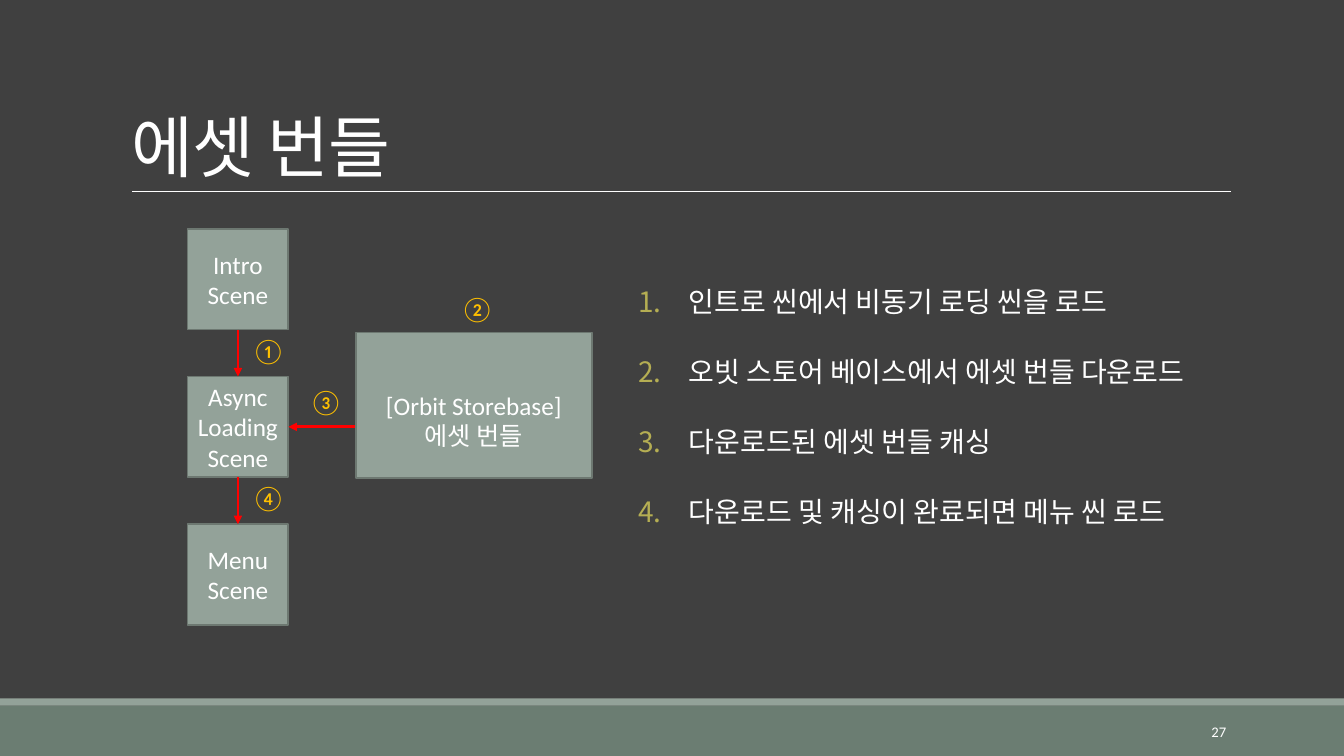
"""Build the asset bundle slide: a scene loading flow beside its four steps."""
from lxml import etree
from pptx import Presentation
from pptx import util as u
from pptx.dml.color import RGBColor
from pptx.enum import shapes, text
from pptx.oxml.ns import qn

TITLE = "에셋 번들"
STEPS = [
    "인트로 씬에서 비동기 로딩 씬을 로드",
    "오빗 스토어 베이스에서 에셋 번들 다운로드",
    "다운로드된 에셋 번들 캐싱",
    "다운로드 및 캐싱이 완료되면 메뉴 씬 로드",
]
SCENES = [["Intro Scene"], ["Async", "Loading", "Scene"], ["Menu", "Scene"]]
STORE = ["[Orbit Storebase]", "에셋 번들"]
MARKERS = {"①": (2.4, 3.28), "②": (4.47, 2.86), "③": (2.97, 3.78), "④": (2.4, 4.74)}
PAGE_NUMBER = "27"

WIDTH, HEIGHT = 13.33, 7.5
BAND_TOP, STRIPE = 7, 0.07
SCENE_LEFT, SCENE_TOP, SCENE_SIZE, SCENE_PITCH = 1.86, 2.27, 1, 1.465
STORE_BOX = (3.53, 3.3, 2.34, 1.44)
RULE_LEFT, RULE_RIGHT, RULE_TOP = 1.31, 12.21, 1.9

BACKGROUND = RGBColor(0x40, 0x40, 0x40)
BAND = RGBColor(0x6B, 0x7D, 0x72)
SAGE = RGBColor(0x93, 0xA2, 0x99)
OUTLINE = RGBColor(0x6D, 0x78, 0x71)
WHITE = RGBColor(0xFF, 0xFF, 0xFF)
RED = RGBColor(0xFF, 0x00, 0x00)
AMBER = RGBColor(0xFF, 0xC0, 0x00)
OLIVE = "B5AE53"


def inches(values):
    return [u.Inches(value) for value in values]


def apply(target, **formats):
    for name, value in formats.items():
        setattr(target, name, value)


def place(shape, box):
    apply(shape, **dict(zip(("left", "top", "width", "height"), inches(box))))


def write(shape, lines, size, color=WHITE, **formats):
    frame = shape.text_frame
    frame.text = "\n".join(lines)
    for paragraph in frame.paragraphs:
        apply(paragraph, **formats)
        apply(paragraph.font, size=u.Pt(size), name="Calibri")
        paragraph.font.color.rgb = color
    return frame


def add_box(slide, box, fill, outline=None):
    shape = slide.shapes.add_shape(shapes.MSO_SHAPE.RECTANGLE, *inches(box))
    shape.shadow.inherit = False
    shape.fill.solid()
    shape.fill.fore_color.rgb = fill
    if outline is None:
        shape.line.fill.background()
    else:
        shape.line.color.rgb = outline
        shape.line.width = u.Pt(1.25)
    return shape


def add_node(slide, box, lines):
    node = add_box(slide, box, SAGE, OUTLINE)
    frame = write(node, lines, 18, alignment=text.PP_ALIGN.CENTER)
    apply(frame, vertical_anchor=text.MSO_ANCHOR.MIDDLE, word_wrap=True)
    return node


def add_line(slide, ends, color, width, arrow=False):
    line = slide.shapes.add_connector(shapes.MSO_CONNECTOR.STRAIGHT, *inches(ends))
    line.line.color.rgb = color
    line.line.width = u.Pt(width)
    if arrow:
        etree.SubElement(line.line._get_or_add_ln(), qn("a:tailEnd"), type="triangle")
    etree.SubElement(line._element.spPr, qn("a:effectLst"))
    return line


def add_frame(slide):
    slide.background.fill.solid()
    slide.background.fill.fore_color.rgb = BACKGROUND
    add_box(slide, (0, BAND_TOP, WIDTH, HEIGHT - BAND_TOP), BAND)
    add_box(slide, (0, BAND_TOP - STRIPE, WIDTH, STRIPE), SAGE)
    add_line(slide, (RULE_LEFT, RULE_TOP, RULE_RIGHT, RULE_TOP), WHITE, 0.5)
    number = slide.shapes.add_textbox(*inches((10.83, 7.06, 1.43, 0.4)))
    frame = write(number, [PAGE_NUMBER], 10.5, alignment=text.PP_ALIGN.RIGHT)
    apply(frame, vertical_anchor=text.MSO_ANCHOR.MIDDLE, word_wrap=True)


def fill_title(title):
    place(title, (1.2, 0.31, 11, RULE_TOP - 0.31))
    frame = write(title, [TITLE], 48, alignment=text.PP_ALIGN.LEFT, line_spacing=0.85)
    apply(frame, vertical_anchor=text.MSO_ANCHOR.BOTTOM, auto_size=text.MSO_AUTO_SIZE.NONE)
    frame.paragraphs[0].runs[0].font._element.set("spc", "-50")


def fill_steps(body):
    place(body, (6.33, 2.61, 5.83, 2.82))
    frame = body.text_frame
    frame.text = "\n".join(STEPS)
    for paragraph in frame.paragraphs:
        properties = paragraph._p.get_or_add_pPr()
        apply_indent = {"marL": u.Inches(0.5), "indent": -u.Inches(0.5)}
        for name, value in apply_indent.items():
            properties.set(name, str(value))
        color = etree.SubElement(properties, qn("a:buClr"))
        etree.SubElement(color, qn("a:srgbClr"), val=OLIVE)
        etree.SubElement(properties, qn("a:buFont"), typeface="+mj-lt")
        etree.SubElement(properties, qn("a:buAutoNum"), type="arabicPeriod")
        apply(paragraph, line_spacing=1.5, space_before=u.Pt(12), space_after=u.Pt(2))
        apply(paragraph.font, size=u.Pt(20), name="Calibri")
        paragraph.font.color.rgb = WHITE
    frame.paragraphs[0].space_before = u.Pt(0)
    apply(frame, margin_left=0, margin_right=0, auto_size=text.MSO_AUTO_SIZE.NONE)


def add_flow(slide):
    scenes = [
        add_node(slide, (SCENE_LEFT, SCENE_TOP + row * SCENE_PITCH, SCENE_SIZE, SCENE_SIZE), lines)
        for row, lines in enumerate(SCENES)
    ]
    for upper, lower in zip(scenes, scenes[1:]):
        arrow = add_line(slide, (0, 0, 0, 0), RED, 2, arrow=True)
        arrow.begin_connect(upper, 2)
        arrow.end_connect(lower, 0)
    middle = SCENE_TOP + SCENE_PITCH + SCENE_SIZE / 2
    ends = (STORE_BOX[0], middle, SCENE_LEFT + SCENE_SIZE, middle)
    add_line(slide, ends, RED, 2, arrow=True).end_connect(scenes[1], 3)
    store = add_node(slide, STORE_BOX, STORE)
    store.text_frame.margin_top = u.Inches(0.35)
    for marker, corner in MARKERS.items():
        label = slide.shapes.add_textbox(*inches((*corner, 0.45, 0.4)))
        write(label, [marker], 18, AMBER).word_wrap = False


def main():
    presentation = Presentation()
    apply(presentation, slide_width=u.Inches(WIDTH), slide_height=u.Inches(HEIGHT))
    slide = presentation.slides.add_slide(presentation.slide_layouts[1])
    add_frame(slide)
    fill_title(slide.shapes.title)
    fill_steps(slide.placeholders[1])
    add_flow(slide)
    presentation.save("out.pptx")


if __name__ == "__main__":
    main()
